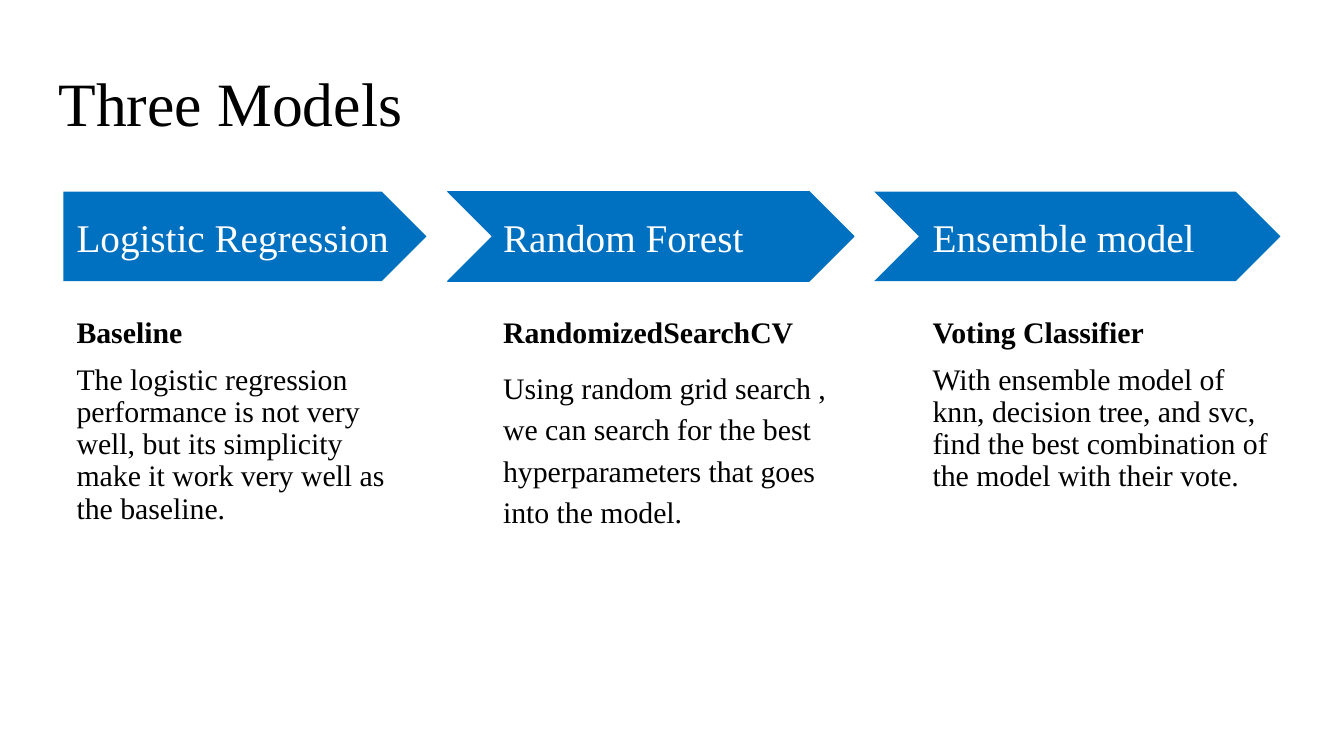
from pptx import Presentation
from pptx.dml.color import RGBColor
from pptx.enum.shapes import MSO_SHAPE as Shape
from pptx.enum.text import MSO_ANCHOR as Anchor, PP_ALIGN as Align
from pptx.util import Inches, Pt

COLORS = {"arrow": "0070C0", "label": "FFFFFF", "text": "000000"}
FONT = "Times New Roman"
INSET = Inches(0.13)


def add_text_box(left, top, width, height, anchor=Anchor.TOP):
    frame = slide.shapes.add_textbox(
        Inches(left), Inches(top), Inches(width), Inches(height)).text_frame
    settings = {"word_wrap": True, "vertical_anchor": anchor,
                "margin_left": INSET, "margin_right": INSET,
                "margin_top": INSET, "margin_bottom": INSET}
    for key, value in settings.items():
        setattr(frame, key, value)
    return frame


def write(paragraph, text, size, color, bold=False, **spacing):
    run = paragraph.add_run()
    run.text = text
    for key, value in {"name": FONT, "size": Pt(size), "bold": bold}.items():
        setattr(run.font, key, value)
    run.font.color.rgb = RGBColor.from_string(COLORS[color])
    for key, value in {"alignment": Align.LEFT, **spacing}.items():
        setattr(paragraph, key, value)


prs = Presentation()
prs.slide_width, prs.slide_height = Inches(13.33), Inches(7.5)
slide = prs.slides.add_slide(prs.slide_layouts[6])

# Title
title = add_text_box(0.45, 0.6, 12.42, 0.89)
write(title.paragraphs[0], "Three Models", 44, "text", line_spacing=0.9)

# Models: arrow shape, left, width, outlined; text left, label width;
# name, method, description, description line spacing
models = [
    (Shape.PENTAGON, 0.63, 3.6, False, 0.63, 3.5,
     "Logistic Regression", "Baseline",
     "The logistic regression performance is not very well, but its "
     "simplicity make it work very well as the baseline.", 0.9),
    (Shape.CHEVRON, 4.44, 4.03, True, 4.86, 3.29,
     "Random Forest", "RandomizedSearchCV",
     "Using random grid search , we can search for the best "
     "hyperparameters that goes into the model.", 1.15),
    (Shape.CHEVRON, 8.67, 4.03, False, 9.12, 3.29,
     "Ensemble model", "Voting Classifier",
     "With ensemble model of knn, decision tree, and svc, find the best "
     "combination of the model with their vote.", 0.9),
]

for (kind, arrow_left, arrow_width, outlined, text_left, label_width,
     name, method, description, spacing) in models:
    # Arrow
    arrow = slide.shapes.add_shape(
        kind, Inches(arrow_left), Inches(1.9), Inches(arrow_width), Inches(0.89))
    arrow.adjustments[0] = 0.5
    arrow.shadow.inherit = False
    arrow.fill.solid()
    arrow.fill.fore_color.rgb = RGBColor.from_string(COLORS["arrow"])
    if outlined:
        arrow.line.color.rgb = RGBColor.from_string(COLORS["arrow"])
        arrow.line.width = Pt(0.75)
    else:
        arrow.line.fill.background()

    # Model name on the arrow
    label = add_text_box(text_left, 2.12, label_width, 0.46, Anchor.MIDDLE)
    write(label.paragraphs[0], name, 28, "label")

    # Method and description below
    details = add_text_box(text_left, 3.02, 3.6, 3.87)
    write(details.paragraphs[0], method, 21.3, "text", bold=True, line_spacing=0.9)
    write(details.add_paragraph(), description, 21.3, "text", line_spacing=spacing,
          space_before=Pt(10.7), space_after=Pt(10.7))

prs.save("out.pptx")
